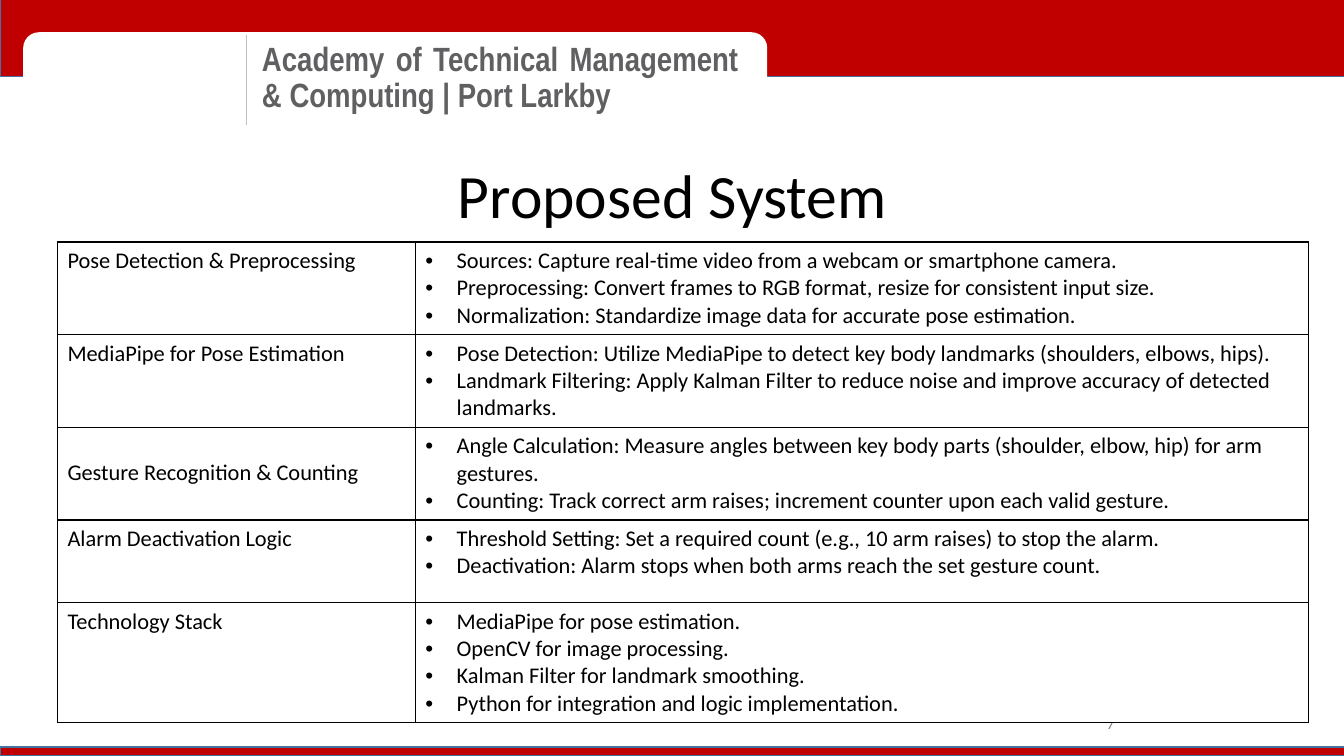
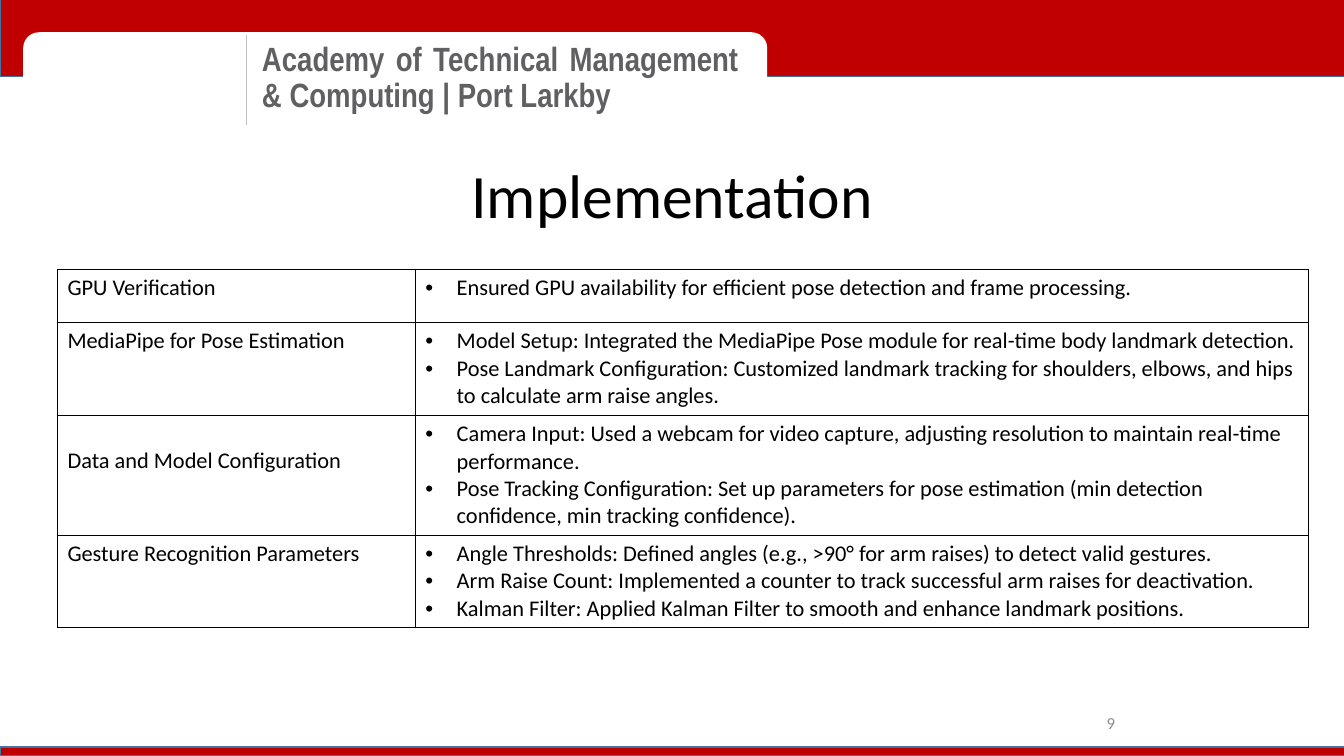
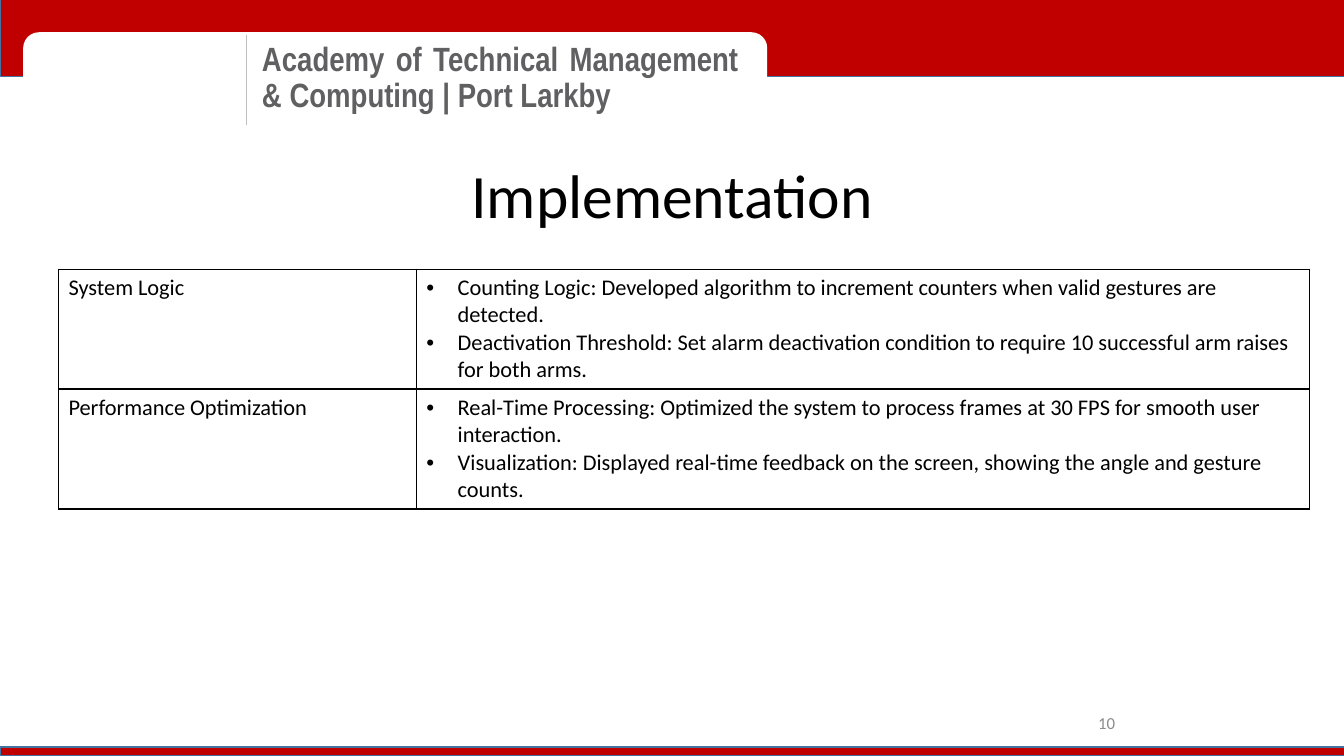
from dataclasses import dataclass

from lxml import etree
from pptx import Presentation
from pptx.dml.color import RGBColor
from pptx.enum import shapes, text
from pptx.oxml import ns
from pptx.util import Inches, Pt

# Shared look
RED = RGBColor(0xC0, 0x00, 0x00)
BAND_EDGE = RGBColor(0x43, 0x73, 0x9E)
WHITE = RGBColor(0xFF, 0xFF, 0xFF)
BLACK = RGBColor(0x00, 0x00, 0x00)
SCHOOL_GREY = RGBColor(0x60, 0x60, 0x62)
RULE_GREY = RGBColor(0xBF, 0xBF, 0xBF)
NUMBER_GREY = RGBColor(0x8C, 0x8C, 0x8C)

SCHOOL = "Academy of Technical Management & Computing | Port Larkby"
COLUMNS = (3.55, 8.86)
BULLET_INDENT = Inches(0.31)
LABEL_DROP = Inches(0.32)


@dataclass(frozen=True)
class TextStyle:
    size: int
    color: RGBColor
    font: str = "Calibri"
    bold: bool = False
    align: text.PP_ALIGN = text.PP_ALIGN.LEFT
    line_spacing: float = 1.0


SCHOOL_STYLE = TextStyle(24, SCHOOL_GREY, "Arial Narrow", True, text.PP_ALIGN.JUSTIFY, 0.9)
TITLE_STYLE = TextStyle(44, BLACK, align=text.PP_ALIGN.CENTER)
NUMBER_STYLE = TextStyle(12, NUMBER_GREY, align=text.PP_ALIGN.RIGHT)
CELL_STYLE = TextStyle(16, BLACK)


@dataclass(frozen=True)
class Topic:
    label: str
    height: float
    points: tuple[str, ...]
    lowered: bool = False


@dataclass(frozen=True)
class Page:
    title: str
    number: int
    left: float
    top: float
    topics: tuple[Topic, ...]


PAGES = (
    Page("Proposed System", 7, 0.57, 2.4, (
        Topic("Pose Detection & Preprocessing", 0.92, (
            "Sources: Capture real-time video from a webcam or smartphone camera.",
            "Preprocessing: Convert frames to RGB format, resize for consistent input size.",
            "Normalization: Standardize image data for accurate pose estimation.",
        )),
        Topic("MediaPipe for Pose Estimation", 0.92, (
            "Pose Detection: Utilize MediaPipe to detect key body landmarks (shoulders, elbows, hips).",
            "Landmark Filtering: Apply Kalman Filter to reduce noise and improve accuracy of detected landmarks.",
        )),
        Topic("Gesture Recognition & Counting", 0.92, (
            "Angle Calculation: Measure angles between key body parts (shoulder, elbow, hip) for arm gestures.",
            "Counting: Track correct arm raises; increment counter upon each valid gesture.",
        ), lowered=True),
        Topic("Alarm Deactivation Logic", 0.82, (
            "Threshold Setting: Set a required count (e.g., 10 arm raises) to stop the alarm.",
            "Deactivation: Alarm stops when both arms reach the set gesture count.",
        )),
        Topic("Technology Stack", 1.19, (
            "MediaPipe for pose estimation.",
            "OpenCV for image processing.",
            "Kalman Filter for landmark smoothing.",
            "Python for integration and logic implementation.",
        )),
    )),
    Page("Implementation", 9, 0.57, 2.67, (
        Topic("GPU Verification", 0.53, (
            "Ensured GPU availability for efficient pose detection and frame processing.",
        )),
        Topic("MediaPipe for Pose Estimation", 0.92, (
            "Model Setup: Integrated the MediaPipe Pose module for real-time body landmark detection.",
            "Pose Landmark Configuration: Customized landmark tracking for shoulders, elbows, and hips "
            "to calculate arm raise angles.",
        )),
        Topic("Data and Model Configuration", 1.19, (
            "Camera Input: Used a webcam for video capture, adjusting resolution to maintain real-time performance.",
            "Pose Tracking Configuration: Set up parameters for pose estimation "
            "(min detection confidence, min tracking confidence).",
        ), lowered=True),
        Topic("Gesture Recognition Parameters", 0.92, (
            "Angle Thresholds: Defined angles (e.g., >90° for arm raises) to detect valid gestures.",
            "Arm Raise Count: Implemented a counter to track successful arm raises for deactivation.",
            "Kalman Filter: Applied Kalman Filter to smooth and enhance landmark positions.",
        )),
    )),
    Page("Implementation", 10, 0.58, 2.67, (
        Topic("System Logic", 1.19, (
            "Counting Logic: Developed algorithm to increment counters when valid gestures are detected.",
            "Deactivation Threshold: Set alarm deactivation condition to require 10 successful arm raises "
            "for both arms.",
        )),
        Topic("Performance Optimization", 1.19, (
            "Real-Time Processing: Optimized the system to process frames at 30 FPS for smooth user interaction.",
            "Visualization: Displayed real-time feedback on the screen, showing the angle and gesture counts.",
        )),
    )),
)


# Text
def write(paragraph, words: str, style: TextStyle) -> None:
    paragraph.alignment = style.align
    paragraph.line_spacing = style.line_spacing
    run = paragraph.add_run()
    run.text = words
    font_format = {"name": style.font, "size": Pt(style.size), "bold": style.bold}
    for attribute, value in font_format.items():
        setattr(run.font, attribute, value)
    run.font.color.rgb = style.color


def add_label(slide, box: tuple[float, ...], words: str, style: TextStyle) -> None:
    frame = slide.shapes.add_textbox(*map(Inches, box)).text_frame
    frame_format = {"word_wrap": True, "vertical_anchor": text.MSO_ANCHOR.MIDDLE}
    for attribute, value in frame_format.items():
        setattr(frame, attribute, value)
    write(frame.paragraphs[0], words, style)


def add_bullet(paragraph) -> None:
    properties = paragraph._p.get_or_add_pPr()
    properties.set("marL", str(BULLET_INDENT))
    properties.set("indent", str(-BULLET_INDENT))
    etree.SubElement(properties, ns.qn("a:buFont"), typeface="Arial")
    etree.SubElement(properties, ns.qn("a:buChar"), char="•")


# Bands and header
def add_panel(slide, preset, box: tuple[float, ...], fill: RGBColor, edge: RGBColor | None = None) -> None:
    panel = slide.shapes.add_shape(preset, *map(Inches, box))
    panel.shadow.inherit = False
    panel.fill.solid()
    panel.fill.fore_color.rgb = fill
    if edge is None:
        panel.line.fill.background()
    else:
        panel.line.color.rgb = edge
        panel.line.width = Pt(1)


def add_frame(slide) -> None:
    preset = shapes.MSO_SHAPE
    add_panel(slide, preset.RECTANGLE, (0, -0.01, 13.35, 0.77), RED, BAND_EDGE)
    add_panel(slide, preset.ROUNDED_RECTANGLE, (0.23, 0.32, 7.38, 0.94), WHITE)
    add_label(slide, (2.5, 0.35, 4.92, 0.86), SCHOOL, SCHOOL_STYLE)
    add_panel(slide, preset.RECTANGLE, (0, 7.41, 13.35, 0.09), RED, BAND_EDGE)
    divider = slide.shapes.add_connector(
        shapes.MSO_CONNECTOR.STRAIGHT, Inches(2.44), Inches(0.35), Inches(2.44), Inches(1.24))
    divider.line.color.rgb = RULE_GREY
    divider.line.width = Pt(0.5)
    etree.SubElement(divider._element.spPr, ns.qn("a:effectLst"))


# Topic table
def style_cell(cell) -> None:
    properties = cell._tc.get_or_add_tcPr()
    for side in ("a:lnL", "a:lnR", "a:lnT", "a:lnB"):
        border = etree.SubElement(properties, ns.qn(side), w=str(Pt(1)))
        paint = etree.SubElement(border, ns.qn("a:solidFill"))
        etree.SubElement(paint, ns.qn("a:srgbClr"), val=str(BLACK))
    cell.fill.solid()
    cell.fill.fore_color.rgb = WHITE


def add_topics(slide, page: Page) -> None:
    height = sum(topic.height for topic in page.topics)
    table = slide.shapes.add_table(
        len(page.topics), len(COLUMNS), Inches(page.left), Inches(page.top),
        Inches(sum(COLUMNS)), Inches(height)).table
    for attribute in ("first_row", "horz_banding"):
        setattr(table, attribute, False)
    for column, width in zip(table.columns, COLUMNS):
        column.width = Inches(width)
    for row, topic in zip(table.rows, page.topics):
        row.height = Inches(topic.height)
        label, details = row.cells
        for cell in (label, details):
            style_cell(cell)
        if topic.lowered:
            label.margin_top = LABEL_DROP
        write(label.text_frame.paragraphs[0], topic.label, CELL_STYLE)
        frame = details.text_frame
        for index, point in enumerate(topic.points):
            paragraph = frame.add_paragraph() if index else frame.paragraphs[0]
            write(paragraph, point, CELL_STYLE)
            add_bullet(paragraph)


def main() -> None:
    deck = Presentation()
    deck.slide_width, deck.slide_height = Inches(13.33), Inches(7.5)
    for page in PAGES:
        slide = deck.slides.add_slide(deck.slide_layouts[6])
        add_frame(slide)
        add_label(slide, (2.17, 1.42, 9, 1), page.title, TITLE_STYLE)
        add_label(slide, (8.83, 6.97, 2.33, 0.4), str(page.number), NUMBER_STYLE)
        add_topics(slide, page)
    deck.save("out.pptx")


if __name__ == "__main__":
    main()
